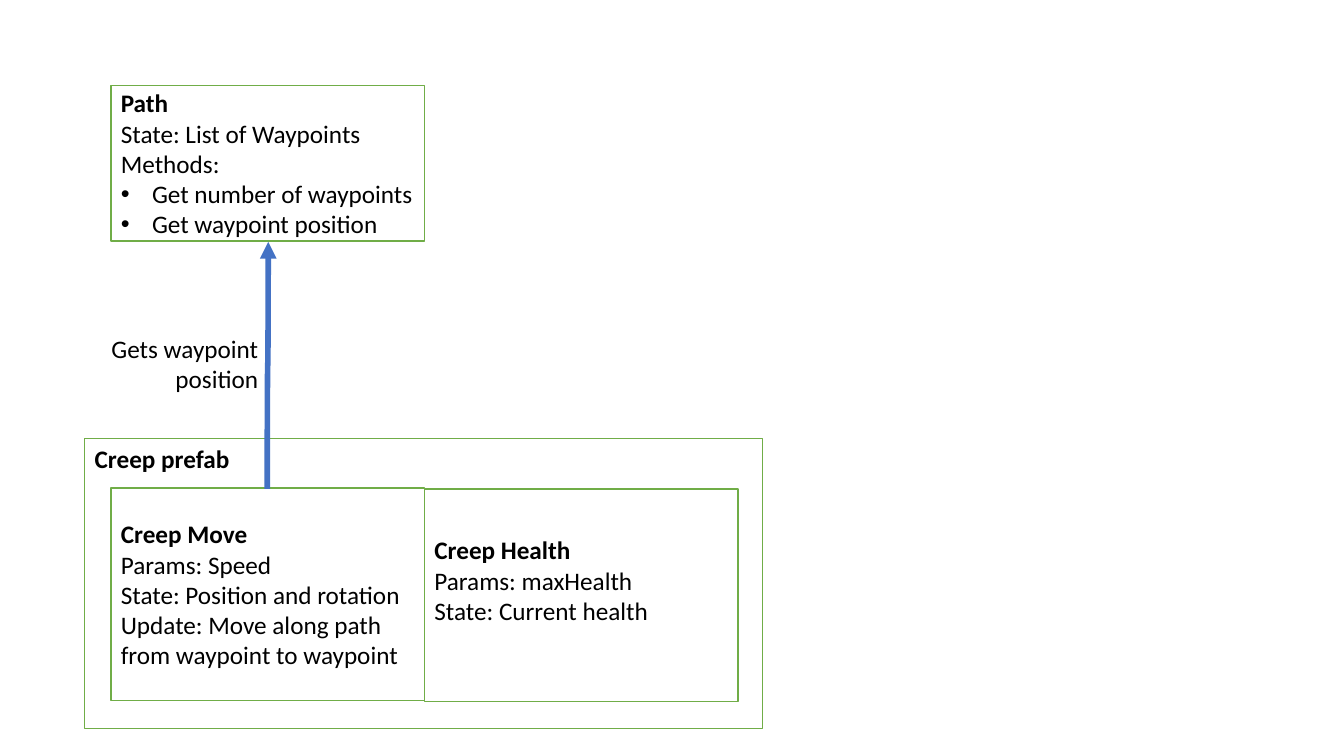
from dataclasses import dataclass

from lxml.etree import SubElement
from pptx import Presentation
from pptx.dml.color import RGBColor as RGB
from pptx.enum.shapes import MSO_CONNECTOR as CONNECTOR, MSO_SHAPE as SHAPE
from pptx.enum.text import MSO_ANCHOR as ANCHOR, PP_ALIGN as ALIGN
from pptx.oxml.ns import qn
from pptx.util import Inches, Pt


@dataclass(frozen=True)
class Theme:
    font: str = "Calibri"
    size: float = 18
    text: RGB = RGB(0, 0, 0)
    fill: RGB = RGB(255, 255, 255)
    border: RGB = RGB(0x70, 0xAD, 0x47)
    arrow: RGB = RGB(0x44, 0x72, 0xC4)
    border_width: float = 1
    arrow_width: float = 4


@dataclass(frozen=True)
class Box:
    left: float
    top: float
    width: float
    height: float
    title: str
    lines: tuple[str, ...] = ()
    bullets: tuple[str, ...] = ()
    anchor: ANCHOR = ANCHOR.MIDDLE
    bottom_inset: float = 0.05


THEME = Theme()
CARD_LEFT, CARD_WIDTH, CARD_HEIGHT = 1.1, 3.11, 2.11
BULLET_INDENT = 0.31

BOXES = (
    Box(0.84, 4.35, 6.72, 2.88, "Creep prefab", anchor=ANCHOR.TOP),
    Box(CARD_LEFT, 0.85, CARD_WIDTH, 1.54, "Path",
        ("State: List of Waypoints", "Methods:"),
        ("Get number of waypoints", "Get waypoint position")),
    Box(CARD_LEFT, 4.84, CARD_WIDTH, CARD_HEIGHT, "Creep Move",
        ("Params: Speed", "State: Position and rotation",
         "Update: Move along path from waypoint to waypoint")),
    Box(CARD_LEFT + CARD_WIDTH, 4.85, CARD_WIDTH, CARD_HEIGHT, "Creep Health",
        ("Params: maxHealth", "State: Current health"), bottom_inset=0.35),
)


def add_text(p, text: str, *, bold: bool = False, align: ALIGN = ALIGN.LEFT,
             new_line: bool = False) -> None:
    if new_line:
        p.add_line_break()
    p.alignment = align
    r = p.add_run()
    r.text = text
    r.font.name = THEME.font
    r.font.size = Pt(THEME.size)
    r.font.bold = bold
    r.font.color.rgb = THEME.text


def add_bullet(p) -> None:
    pPr = p._p.get_or_add_pPr()
    pPr.set("marL", str(Inches(BULLET_INDENT)))
    pPr.set("indent", str(-Inches(BULLET_INDENT)))
    SubElement(pPr, qn("a:buFont"), typeface="Arial")
    SubElement(pPr, qn("a:buChar"), char="•")


def add_box(slide, box: Box) -> None:
    sp = slide.shapes.add_shape(SHAPE.RECTANGLE, Inches(box.left), Inches(box.top),
                                Inches(box.width), Inches(box.height))
    sp.shadow.inherit = False
    sp.fill.solid()
    sp.fill.fore_color.rgb = THEME.fill
    sp.line.color.rgb = THEME.border
    sp.line.width = Pt(THEME.border_width)
    tf = sp.text_frame
    tf.word_wrap = True
    tf.vertical_anchor = box.anchor
    tf.margin_bottom = Inches(box.bottom_inset)
    p = tf.paragraphs[0]
    add_text(p, box.title, bold=True)
    for line in box.lines:
        add_text(p, line, new_line=True)
    for bullet in box.bullets:
        p = tf.add_paragraph()
        add_text(p, bullet)
        add_bullet(p)


def add_rising_arrow(slide, x1: float, y1: float, x2: float, y2: float) -> None:
    """Draw a curved arrow that leaves and arrives vertically, by a quarter turn."""
    mid_x, mid_y = (x1 + x2) / 2, (y1 + y2) / 2
    dx, dy = (x2 - x1) / 2, (y1 - y2) / 2
    cxn = slide.shapes.add_connector(CONNECTOR.CURVE,
                                     Inches(mid_x + dy), Inches(mid_y + dx),
                                     Inches(mid_x - dy), Inches(mid_y - dx))
    cxn.line.color.rgb = THEME.arrow
    cxn.line.width = Pt(THEME.arrow_width)
    spPr = cxn._element.spPr
    spPr.find(qn("a:xfrm")).set("rot", str(90 * 60000))
    SubElement(spPr.find(qn("a:ln")), qn("a:tailEnd"), type="triangle")
    SubElement(spPr, qn("a:effectLst"))


def add_arrow_label(slide) -> None:
    sp = slide.shapes.add_textbox(Inches(0.99), Inches(3.26), Inches(1.67), Inches(0.71))
    sp.text_frame.word_wrap = False
    p = sp.text_frame.paragraphs[0]
    add_text(p, "Gets waypoint", align=ALIGN.RIGHT)
    add_text(p, "position", align=ALIGN.RIGHT, new_line=True)


def main() -> None:
    prs = Presentation()
    prs.slide_width, prs.slide_height = Inches(13.33), Inches(7.5)
    slide = prs.slides.add_slide(prs.slide_layouts[6])
    *back_boxes, health_box = BOXES
    for box in back_boxes:
        add_box(slide, box)
    add_rising_arrow(slide, 2.65, 4.85, 2.66, 2.4)
    add_arrow_label(slide)
    add_box(slide, health_box)
    prs.save("out.pptx")


if __name__ == "__main__":
    main()
